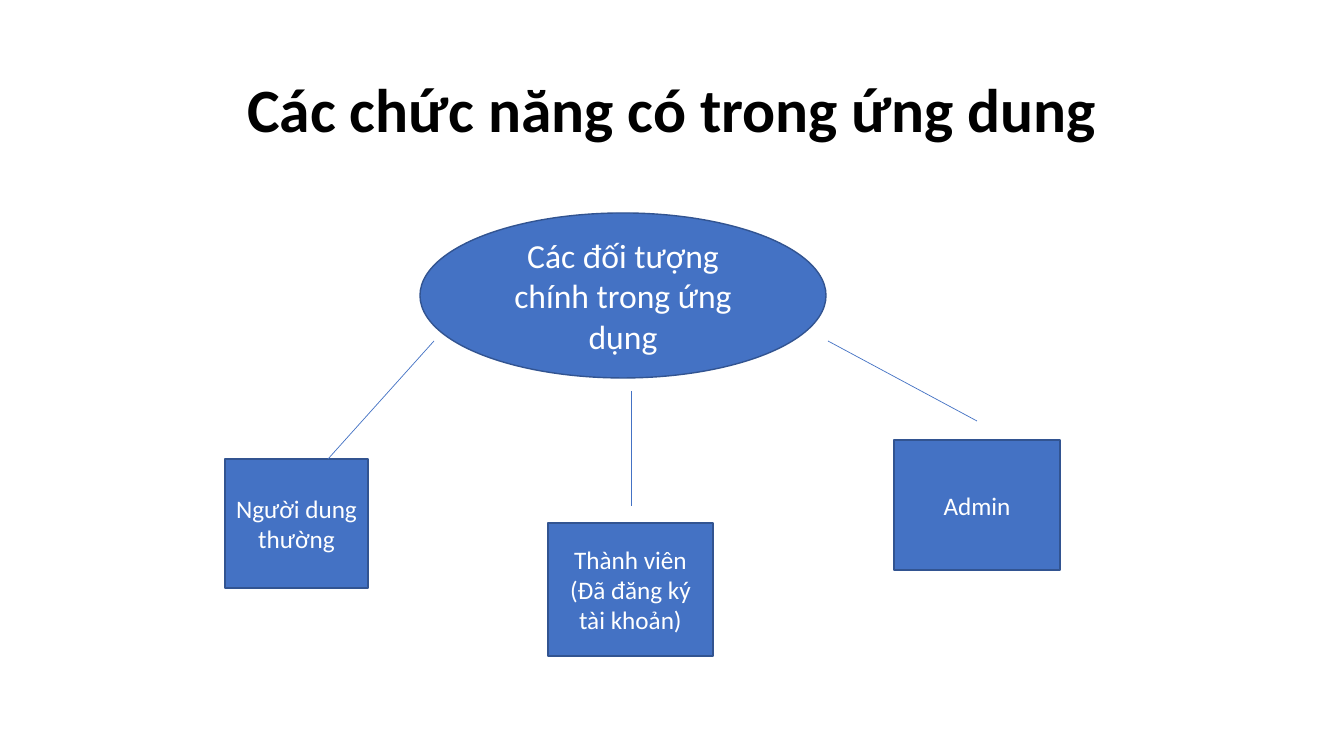
from pptx import Presentation
from pptx.dml.color import RGBColor
from pptx.enum.shapes import MSO_CONNECTOR, MSO_SHAPE
from pptx.enum.text import MSO_ANCHOR, PP_ALIGN
from pptx.oxml.ns import qn
from pptx.util import Pt
from lxml import etree

# Content: text lines and boxes as left, top, width, height in px
TITLE = (["Các chức năng có trong ứng dung"], (93, 40, 1159, 146))
TOPIC = (["Các đối tượng chính trong ứng dụng"], (420, 213, 406, 165))
ROLES = [
    (["Người dung thường"], (225, 459, 143, 129)),
    (["Thành viên", "(Đã đăng ký tài khoản)"], (548, 523, 165, 133)),
    (["Admin"], (894, 440, 166, 130)),
]
# Branches from the topic to each role: x1, y1, x2, y2 in px
BRANCHES = [(434, 341, 328, 459), (631, 391, 631, 506), (828, 341, 977, 421)]

BLACK = RGBColor(0x00, 0x00, 0x00)
WHITE = RGBColor(0xFF, 0xFF, 0xFF)
BLUE = RGBColor(0x44, 0x72, 0xC4)
OUTLINE = RGBColor(0x32, 0x54, 0x91)
FONT = "Calibri"
EMU_PER_PX = 914400 / 100.8


def emu(lengths):
    return [round(v * EMU_PER_PX) for v in lengths]


def write(shape, lines, size, color=WHITE, bold=False, spacing=None):
    tf = shape.text_frame
    tf.word_wrap = True
    tf.vertical_anchor = MSO_ANCHOR.MIDDLE
    for i, line in enumerate(lines):
        p = tf.paragraphs[0] if i == 0 else tf.add_paragraph()
        p.alignment = PP_ALIGN.CENTER
        p.line_spacing = spacing
        r = p.add_run()
        r.text = line
        r.font.name = FONT
        r.font.size = Pt(size)
        r.font.bold = bold
        r.font.color.rgb = color


def add_node(s, kind, lines, box, size):
    sp = s.shapes.add_shape(kind, *emu(box))
    sp.shadow.inherit = False
    sp.fill.solid()
    sp.fill.fore_color.rgb = BLUE
    sp.line.color.rgb = OUTLINE
    sp.line.width = Pt(1)
    write(sp, lines, size)


def add_branch(s, ends):
    line = s.shapes.add_connector(MSO_CONNECTOR.STRAIGHT, *emu(ends))
    line.line.color.rgb = BLUE
    line.line.width = Pt(0.5)
    etree.SubElement(line._element.spPr, qn("a:effectLst"))


def main():
    prs = Presentation()
    prs.slide_width, prs.slide_height = emu((1344, 756))
    s = prs.slides.add_slide(prs.slide_layouts[6])

    # Title
    lines, box = TITLE
    write(s.shapes.add_textbox(*emu(box)), lines, 44, BLACK, bold=True, spacing=0.9)

    # Topic and roles
    add_node(s, MSO_SHAPE.OVAL, *TOPIC, size=24)
    for lines, box in ROLES:
        add_node(s, MSO_SHAPE.RECTANGLE, lines, box, size=18)

    # Branches
    for ends in BRANCHES:
        add_branch(s, ends)

    prs.save("out.pptx")


if __name__ == "__main__":
    main()
